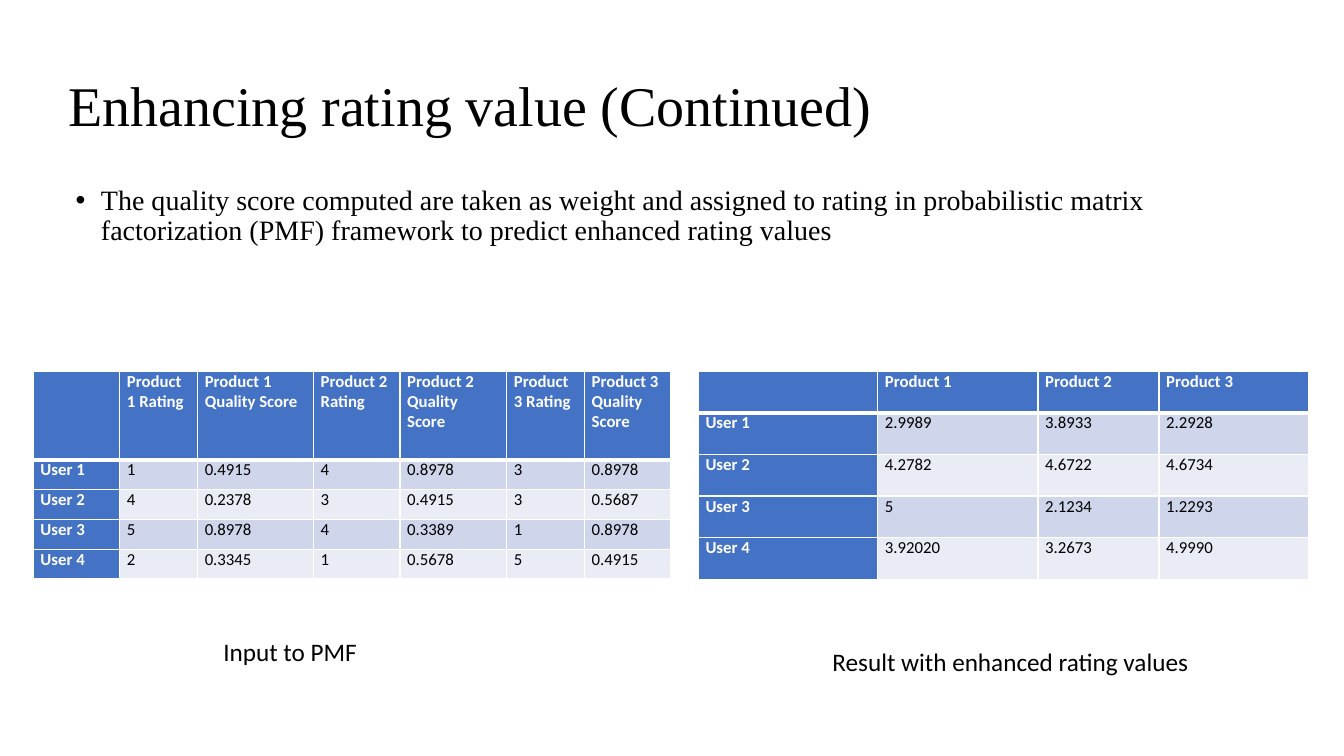
from dataclasses import dataclass

from lxml.etree import SubElement
from pptx import Presentation
from pptx.dml.color import RGBColor as Color
from pptx.enum.text import MSO_ANCHOR as Anchor, MSO_AUTO_SIZE as AutoSize, PP_ALIGN as Align
from pptx.oxml.ns import qn
from pptx.util import Cm, Pt


@dataclass(frozen=True)
class Theme:
    ink: str = "000000"
    paper: str = "FFFFFF"
    accent: str = "4472C4"
    bands: tuple[str, str] = ("CFD5EA", "E9EBF5")
    serif: str = "Times New Roman"
    sans: str = "Calibri"
    title_size: int = 40
    body_size: int = 20
    caption_size: int = 18
    cell_size: int = 12
    thin_line: int = 1
    thick_line: int = 3


@dataclass(frozen=True)
class Place:
    left: float
    top: float
    width: float
    height: float


@dataclass(frozen=True)
class RatingTable:
    place: Place
    columns: list[float]
    header_height: float
    row_height: float
    headers: list[str]
    ratings: list[list[str]]


@dataclass(frozen=True)
class Caption:
    place: Place
    text: str


THEME = Theme()

TABLES = [
    RatingTable(
        Place(0.84, 9.35, 16.07, 5.24),
        [2.18, 1.96, 2.92, 2.18, 2.69, 1.96, 2.18], 2.24, 0.75,
        [f"Product {number} {measure}" for number in (1, 2, 3)
         for measure in ("Rating", "Quality Score")],
        [["1", "0.4915", "4", "0.8978", "3", "0.8978"],
         ["4", "0.2378", "3", "0.4915", "3", "0.5687"],
         ["5", "0.8978", "4", "0.3389", "1", "0.8978"],
         ["2", "0.3345", "1", "0.5678", "5", "0.4915"]]),
    RatingTable(
        Place(17.6, 9.35, 15.39, 5.25),
        [4.52, 4.04, 3.05, 3.78], 1.05, 1.05,
        [f"Product {number}" for number in (1, 2, 3)],
        [["2.9989", "3.8933", "2.2928"],
         ["4.2782", "4.6722", "4.6734"],
         ["5", "2.1234", "1.2293"],
         ["3.92020", "3.2673", "4.9990"]]),
]

CAPTIONS = [
    Caption(Place(5.38, 15.9, 5.21, 1.02), "Input to PMF"),
    Caption(Place(20.73, 16.15, 9.96, 1.02), "Result with enhanced rating values"),
]


def lengths(place: Place) -> list[Cm]:
    return [Cm(place.left), Cm(place.top), Cm(place.width), Cm(place.height)]


def format_text(para, font: str, size: int, color: str, bold: bool = False) -> None:
    for span in para.runs:
        span.font.name = font
        span.font.size = Pt(size)
        span.font.bold = bold
        span.font.color.rgb = Color.from_string(color)


def fill_placeholder(box, place: Place, text: str, size: int, anchor):
    """Moves a placeholder, writes its text and returns the paragraph."""
    box.left, box.top, box.width, box.height = lengths(place)
    frame = box.text_frame
    frame.text = text
    frame.word_wrap = True
    frame.auto_size = AutoSize.NONE
    frame.vertical_anchor = anchor
    para = frame.paragraphs[0]
    para.alignment = Align.LEFT
    para.line_spacing = 0.9
    para.space_before = Pt(0)
    format_text(para, THEME.serif, size, THEME.ink)
    return para


def add_bullet(para, indent: float) -> None:
    properties = para._p.get_or_add_pPr()
    properties.set("marL", str(Cm(indent)))
    properties.set("indent", str(-Cm(indent)))
    SubElement(properties, qn("a:buFont"), typeface="Arial")
    SubElement(properties, qn("a:buChar"), char="•")


def add_borders(cell, row: int) -> None:
    """White cell borders, thicker between the header and the first user."""
    thick_side = {0: "B", 1: "T"}.get(row)
    properties = cell._tc.get_or_add_tcPr()
    for side in "LRTB":
        width = THEME.thick_line if side == thick_side else THEME.thin_line
        line = SubElement(properties, qn(f"a:ln{side}"), w=str(Pt(width)))
        fill = SubElement(line, qn("a:solidFill"))
        SubElement(fill, qn("a:srgbClr"), val=THEME.paper)


def add_rating_table(page, item: RatingTable) -> None:
    rows = [["", *item.headers]]
    rows += [[f"User {number}", *values] for number, values in enumerate(item.ratings, 1)]
    table = page.shapes.add_table(len(rows), len(item.columns), *lengths(item.place)).table
    for column, width in zip(table.columns, item.columns):
        column.width = Cm(width)
    for row_index, texts in enumerate(rows):
        table.rows[row_index].height = Cm(item.row_height if row_index else item.header_height)
        for column_index, text in enumerate(texts):
            cell = table.cell(row_index, column_index)
            heading = row_index == 0 or column_index == 0
            cell.margin_left = cell.margin_right = Cm(0.18)
            cell.margin_top = cell.margin_bottom = 0
            add_borders(cell, row_index)
            cell.fill.solid()
            fill = THEME.accent if heading else THEME.bands[(row_index - 1) % 2]
            cell.fill.fore_color.rgb = Color.from_string(fill)
            if text:
                cell.text_frame.text = text
                color = THEME.paper if heading else THEME.ink
                format_text(cell.text_frame.paragraphs[0], THEME.sans, THEME.cell_size,
                            color, heading)


def add_caption(page, caption: Caption) -> None:
    frame = page.shapes.add_textbox(*lengths(caption.place)).text_frame
    frame.word_wrap = True
    frame.auto_size = AutoSize.SHAPE_TO_FIT_TEXT
    frame.text = caption.text
    format_text(frame.paragraphs[0], THEME.sans, THEME.caption_size, THEME.ink)


def main() -> None:
    deck = Presentation()
    deck.slide_width, deck.slide_height = Cm(33.87), Cm(19.05)
    page = deck.slides.add_slide(deck.slide_layouts[1])

    # Title and bullet
    fill_placeholder(page.shapes.title, Place(1.47, 0.89, 29.21, 3.68),
                     "Enhancing rating value (Continued)", THEME.title_size, Anchor.MIDDLE)
    bullet = fill_placeholder(
        page.placeholders[1], Place(1.65, 4.57, 29.72, 12.09),
        "The quality score computed are taken as weight and assigned to rating in "
        "probabilistic matrix factorization (PMF) framework to predict enhanced rating values",
        THEME.body_size, Anchor.TOP)
    add_bullet(bullet, 0.64)

    # Tables and their captions
    for item in TABLES:
        add_rating_table(page, item)
    for caption in CAPTIONS:
        add_caption(page, caption)

    deck.save("out.pptx")


if __name__ == "__main__":
    main()
